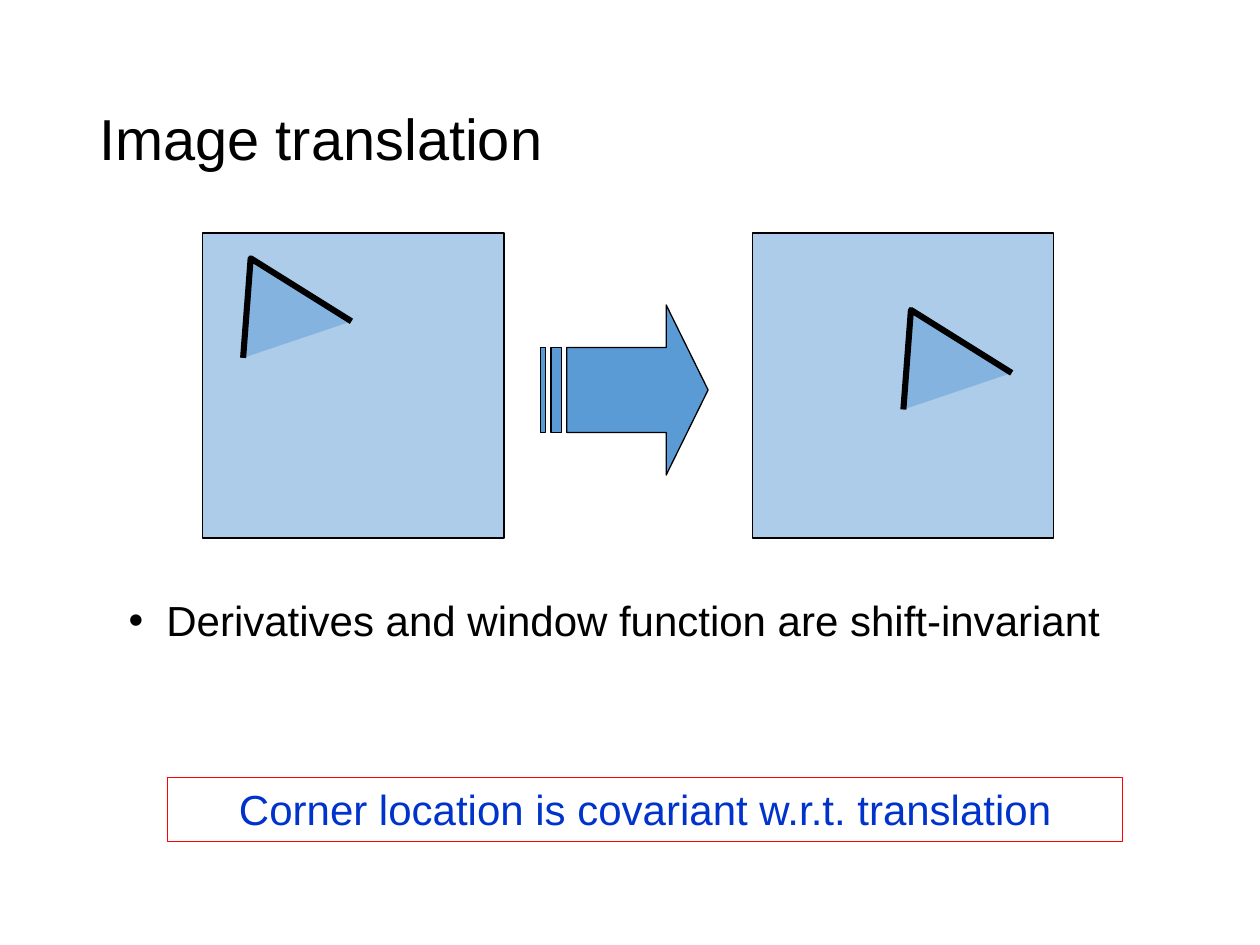
from lxml import etree
from pptx import Presentation
from pptx.dml.color import RGBColor
from pptx.enum.shapes import MSO_SHAPE as Shape
from pptx.enum.text import MSO_ANCHOR as Anchor, MSO_AUTO_SIZE as Fit, PP_ALIGN as Align
from pptx.oxml.ns import qn
from pptx.util import Inches, Pt

COLORS = {"blue": "5B9BD5", "black": "000000", "red": "FF0000", "navy": "0033CC"}


def write(shape, text, size=24, color="black", align=Align.LEFT, anchor=Anchor.TOP, spacing=1.0):
    frame = shape.text_frame
    frame.word_wrap = True
    frame.auto_size = Fit.NONE
    frame.vertical_anchor = anchor
    frame.text = text
    para = frame.paragraphs[0]
    para.alignment = align
    para.line_spacing = spacing
    para.space_before = Pt(0)
    para.font.name = "Arial"
    para.font.size = Pt(size)
    para.font.color.rgb = RGBColor.from_string(COLORS[color])
    return para


def paint(shape, fill="blue", line="black", width=0.75, alpha=None):
    """Set fill and outline; alpha is the opacity in percent."""
    shape.shadow.inherit = False
    if fill:
        shape.fill.solid()
        shape.fill.fore_color.rgb = RGBColor.from_string(COLORS[fill])
    else:
        shape.fill.background()
    if alpha:
        tint = shape.fill._xPr.find(qn("a:solidFill"))[0]
        etree.SubElement(tint, qn("a:alpha"), val=str(alpha * 1000))
    shape.line.color.rgb = RGBColor.from_string(COLORS[line])
    shape.line.width = Pt(width)


deck = Presentation()
deck.slide_width, deck.slide_height = Inches(10), Inches(7.5)
slide = deck.slides.add_slide(deck.slide_layouts[1])
shapes = slide.shapes

# Title and bullet
title, body = shapes.title, slide.placeholders[1]
title.left, title.top, title.width, title.height = map(Inches, (0.69, 0.4, 8.62, 1.45))
write(title, "Image translation", size=33, anchor=Anchor.MIDDLE, spacing=0.9)

body.left, body.top, body.width, body.height = map(Inches, (0.92, 4.67, 8.42, 0.51))
item = write(body, "Derivatives and window function are shift-invariant")
props = item._p.get_or_add_pPr()
props.set("marL", str(Inches(0.3)))
props.set("indent", str(Inches(-0.3)))

# Image frames, each with the same corner at a shifted place
for left, x, y in ((1.61, 1.93, 2.05), (5.97, 7.17, 2.46)):
    frame = shapes.add_shape(Shape.RECTANGLE, *map(Inches, (left, 1.85, 2.39, 2.42)))
    paint(frame, alpha=50)
    points = [(Inches(x + dx), Inches(y + dy)) for dx, dy in ((0, 0.79), (0.06, 0), (0.86, 0.5))]
    path = shapes.build_freeform(*points[0])
    path.add_line_segments(points[1:], close=False)
    paint(path.convert_to_shape(), width=3.5, alpha=50)

# Arrow between the frames
arrow = shapes.add_shape(Shape.STRIPED_RIGHT_ARROW, *map(Inches, (4.29, 2.42, 1.33, 1.35)))
arrow.adjustments[0], arrow.adjustments[1] = 0.5, 0.25
paint(arrow)

# Conclusion
box = shapes.add_shape(Shape.RECTANGLE, *map(Inches, (1.33, 6.17, 7.58, 0.51)))
paint(box, fill=None, line="red")
write(box, "Corner location is covariant w.r.t. translation", color="navy", align=Align.CENTER)

deck.save("out.pptx")
